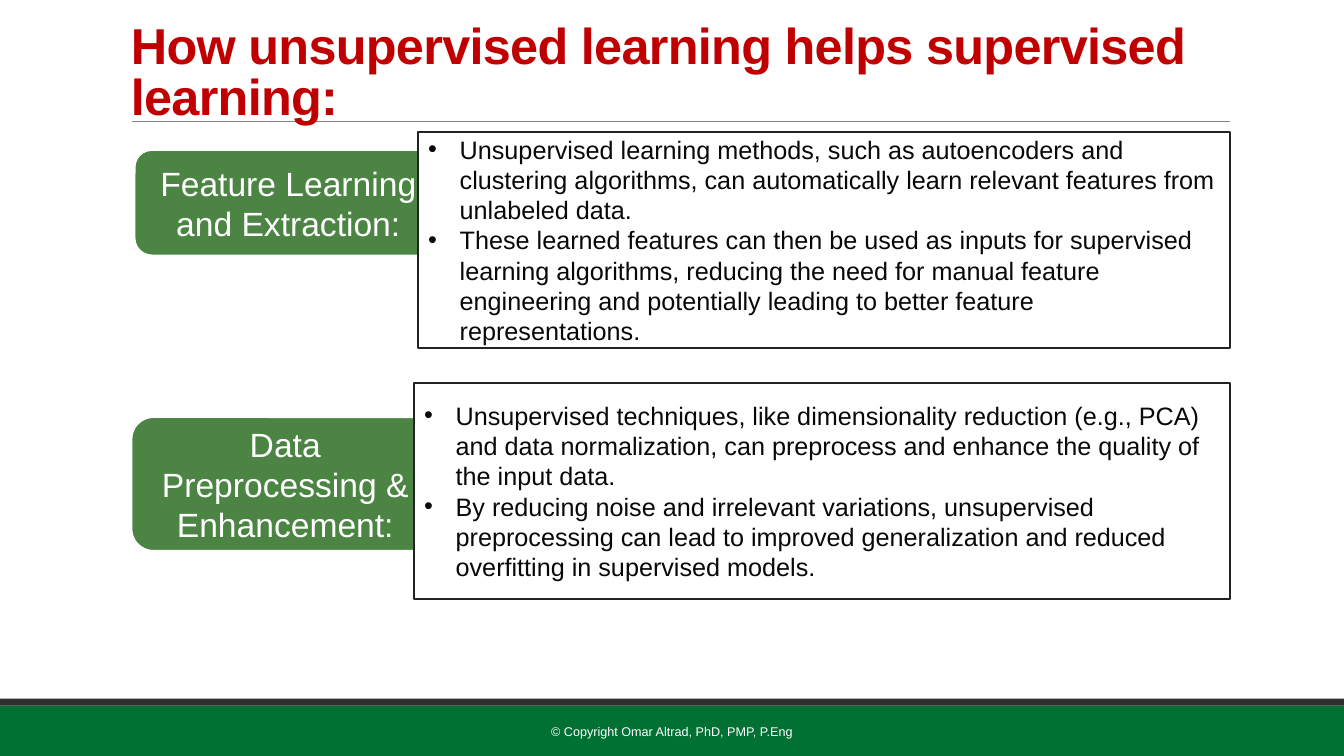
from pptx import Presentation
from pptx.dml.color import RGBColor
from pptx.enum.shapes import MSO_CONNECTOR, MSO_SHAPE
from pptx.enum.text import MSO_ANCHOR, PP_ALIGN
from pptx.oxml.ns import qn
from pptx.util import Pt
from lxml import etree

RECT, ROUND = MSO_SHAPE.RECTANGLE, MSO_SHAPE.ROUNDED_RECTANGLE
STRAIGHT = MSO_CONNECTOR.STRAIGHT
LEFT, CENTER, MIDDLE = PP_ALIGN.LEFT, PP_ALIGN.CENTER, MSO_ANCHOR.MIDDLE

WHITE = RGBColor(0xFF, 0xFF, 0xFF)
RED = RGBColor(0xC0, 0x00, 0x00)
GREEN = RGBColor(0x00, 0x70, 0x33)
LEAF = RGBColor(0x4C, 0x84, 0x44)
DARK = RGBColor(0x2F, 0x2F, 0x2F)
EDGE = RGBColor(0x23, 0x23, 0x23)
GRAY = RGBColor(0x84, 0x84, 0x84)
INK = RGBColor(0x08, 0x08, 0x08)

WIDE, HIGH = 960, 540
RIGHT = 878.6
INDENT = 22.5

# Label text, label box, left and top of the detail box, its points
TOPICS = [
    ("Feature Learning and Extraction:", (95.8, 106.8, 220.3, 76), 298.8, 94.3, [
        "Unsupervised learning methods, such as autoencoders and clustering "
        "algorithms, can automatically learn relevant features from unlabeled data.",
        "These learned features can then be used as inputs for supervised learning "
        "algorithms, reducing the need for manual feature engineering and "
        "potentially leading to better feature representations.",
    ]),
    ("Data Preprocessing & Enhancement:", (93.6, 297.6, 220.3, 96.2), 295.9, 273.6, [
        "Unsupervised techniques, like dimensionality reduction (e.g., PCA) and data "
        "normalization, can preprocess and enhance the quality of the input data.",
        "By reducing noise and irrelevant variations, unsupervised preprocessing can "
        "lead to improved generalization and reduced overfitting in supervised models.",
    ]),
]


class Deck:
    font = "Arial"

    def __init__(self):
        self.prs = Presentation()
        self.prs.slide_width, self.prs.slide_height = Pt(WIDE), Pt(HIGH)
        self.slide = self.prs.slides.add_slide(self.prs.slide_layouts[6])

    def shape(self, kind, box, fill, edge=None, width=0):
        item = self.slide.shapes.add_shape(kind, *map(Pt, box))
        item.shadow.inherit = False
        item.fill.solid()
        item.fill.fore_color.rgb = fill
        if edge is None:
            item.line.fill.background()
        else:
            item.line.color.rgb = edge
            item.line.width = Pt(width)
        return item

    def rule(self, left, right, top, color, width):
        """Draw a thin level line."""
        item = self.slide.shapes.add_connector(
            STRAIGHT, Pt(left), Pt(top), Pt(right), Pt(top))
        item.line.color.rgb = color
        item.line.width = Pt(width)
        etree.SubElement(item._element.spPr, qn("a:effectLst"))

    def text(self, box, words, size, color, **style):
        item = self.slide.shapes.add_textbox(*map(Pt, box))
        self.label(item, [words], size, color, **style)

    def label(self, item, lines, size, color, align=LEFT, bold=False,
              lead=1.0, track=0, bullet=None):
        """Fill a shape with one paragraph per line."""
        frame = item.text_frame
        frame.word_wrap = True
        frame.vertical_anchor = MIDDLE
        form = {"name": self.font, "size": Pt(size), "bold": bold}
        for index, line in enumerate(lines):
            para = frame.add_paragraph() if index else frame.paragraphs[0]
            para.alignment = align
            para.line_spacing = lead
            run = para.add_run()
            run.text = line
            for key, value in form.items():
                setattr(run.font, key, value)
            run.font.color.rgb = color
            if track:
                run.font._element.set("spc", str(int(track * 100)))
            if bullet:
                self.mark(para, bullet)

    def mark(self, para, sign):
        """Give a paragraph a bullet with a hanging indent."""
        props = para._p.get_or_add_pPr()
        props.set("marL", str(Pt(INDENT)))
        props.set("indent", str(Pt(-INDENT)))
        etree.SubElement(props, qn("a:buFont"), typeface=self.font)
        etree.SubElement(props, qn("a:buChar"), char=sign)

    def topic(self, name, box, left, top, points):
        """Add a name tag with its detail box over the tag's right end."""
        tag = self.shape(ROUND, box, LEAF, WHITE, 2)
        self.label(tag, [name], 24, WHITE, align=CENTER)
        detail = self.shape(RECT, (left, top, RIGHT - left, 154.1), WHITE, EDGE, 1.25)
        self.label(detail, points, 18, INK, bullet="•")


def main():
    deck = Deck()
    deck.shape(RECT, (0, 504, WIDE, 36), GREEN)
    deck.shape(RECT, (0, 499, WIDE, 5), DARK)
    deck.rule(94.3, RIGHT, 86.6, GRAY, 0.5)
    deck.text((86.4, 22.3, 792, 62), "How unsupervised learning helps supervised learning:",
              36, RED, bold=True, lead=0.85, track=-0.5)
    deck.text((290.2, 508.3, 379.4, 28.8), "© Copyright Omar Altrad, PhD, PMP, P.Eng",
              9, WHITE, align=CENTER)
    for topic in TOPICS:
        deck.topic(*topic)
    deck.prs.save("out.pptx")


if __name__ == "__main__":
    main()
